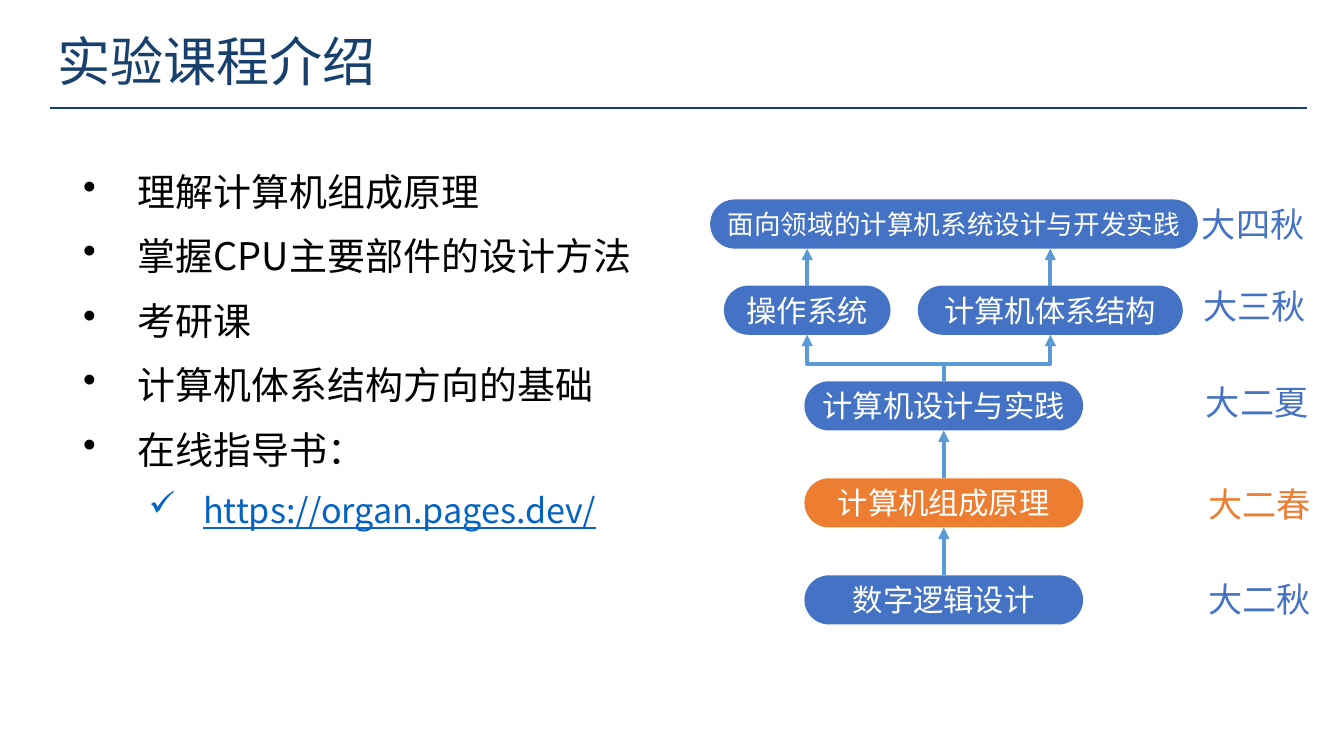
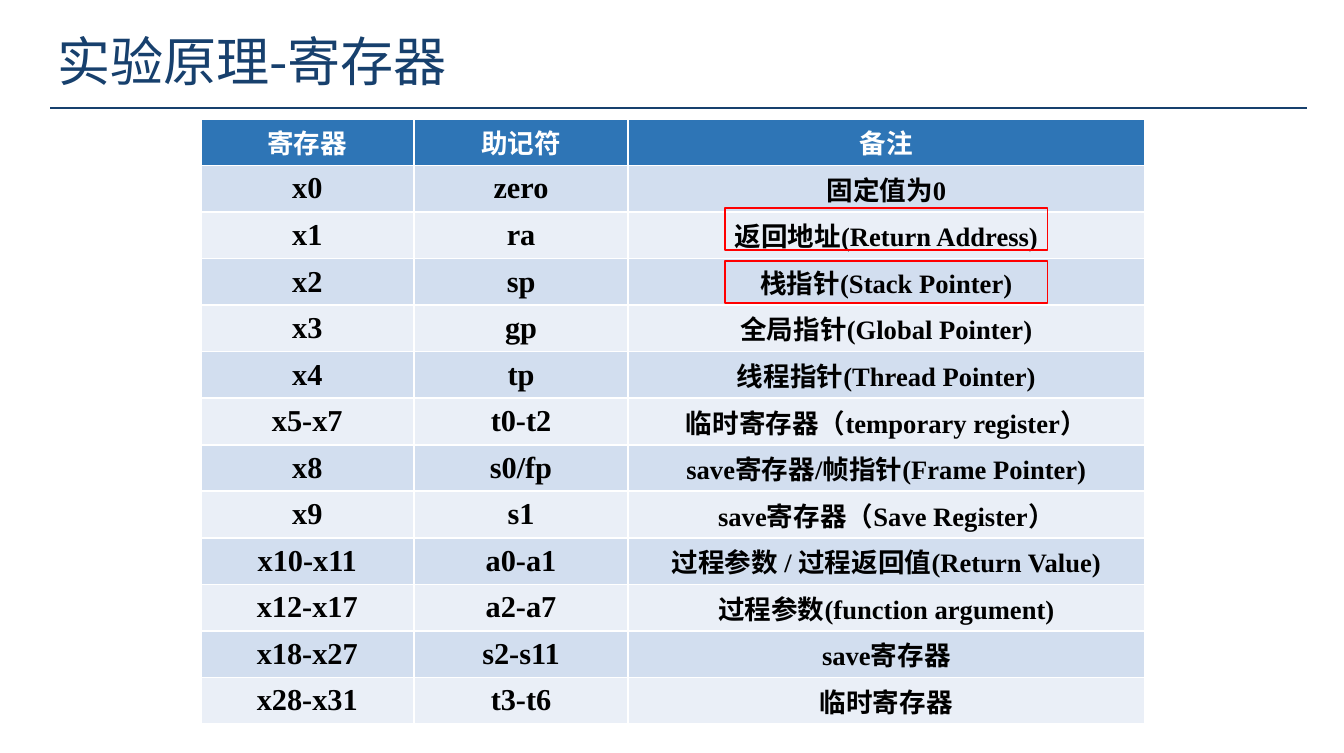
import pptx
import pptx.dml.color
import pptx.enum.shapes
import pptx.enum.text
import pptx.oxml
import pptx.oxml.ns
import pptx.util
import lxml.etree

SHAPES = pptx.enum.shapes.MSO_SHAPE
CONNECTORS = pptx.enum.shapes.MSO_CONNECTOR
ALIGN = pptx.enum.text.PP_ALIGN
ANCHOR = pptx.enum.text.MSO_ANCHOR
qn = pptx.oxml.ns.qn

COLORS = {
    "navy": "17406D",
    "course": "4472C4",
    "current": "ED7D31",
    "arrow": "5B9BD5",
    "link": "0563C1",
    "header": "2E75B6",
    "band_dark": "D2DEEF",
    "band_light": "EAEFF7",
    "mark": "FF0000",
    "black": "000000",
    "white": "FFFFFF",
}
CJK_FONT = "Noto Sans CJK SC"
EMU_PER_PX = 9144


def px(length):
    return pptx.util.Emu(round(length * EMU_PER_PX))


def rgb(name):
    return pptx.dml.color.RGBColor.from_string(COLORS[name])


def assign(target, formats):
    for name, value in formats.items():
        setattr(target, name, value)


class Deck:
    def __init__(self, width, height):
        self.presentation = pptx.Presentation()
        self.presentation.slide_width = px(width)
        self.presentation.slide_height = px(height)
        self.slide = None

    def add_slide(self, title):
        self.slide = self.presentation.slides.add_slide(self.presentation.slide_layouts[6])
        self.line((37, 79), (957, 79), "navy", 1)
        self.textbox((32, 16, 555, 57), title, 28, "navy")

    def add_text(self, paragraph, text, size, color, font=CJK_FONT, formats=None):
        run = paragraph.add_run()
        run.text = text
        assign(run.font, {"size": pptx.util.Pt(size), "name": font, **(formats or {})})
        run.font.color.rgb = rgb(color)
        east_asian = lxml.etree.SubElement(run._r.get_or_add_rPr(), qn("a:ea"))
        east_asian.set("typeface", CJK_FONT)

    def frame(self, box, margins=(10, 5)):
        frame = self.slide.shapes.add_textbox(*map(px, box)).text_frame
        self.set_margins(frame, margins)
        frame.word_wrap = True
        return frame

    def set_margins(self, target, margins):
        side, end = map(px, margins)
        assign(target, {"margin_left": side, "margin_right": side,
                        "margin_top": end, "margin_bottom": end})

    def textbox(self, box, text, size, color, margins=(10, 5), space_before=0):
        paragraph = self.frame(box, margins).paragraphs[0]
        paragraph.space_before = pptx.util.Pt(space_before)
        self.add_text(paragraph, text, size, color)

    def bullets(self, box, items):
        frame = self.frame(box)
        for index, (text, level) in enumerate(items):
            paragraph = frame.add_paragraph() if index else frame.paragraphs[0]
            size, color, indent, symbol = ((20, "black", 40, "•"), (18, "link", 88, "✓"))[level]
            assign(paragraph, {"level": level, "line_spacing": 1.25,
                               "space_before": pptx.util.Pt(size * 0.2)})
            properties = paragraph._p.get_or_add_pPr()
            properties.set("marL", str(px(indent)))
            properties.set("indent", str(px(-40)))
            lxml.etree.SubElement(properties, qn("a:buChar")).set("char", symbol)
            self.add_text(paragraph, text, size, color, formats={"underline": level == 1})

    def pill(self, box, text, color, size=16):
        pill = self.slide.shapes.add_shape(SHAPES.ROUNDED_RECTANGLE, *map(px, box))
        pill.adjustments[0] = 0.5
        pill.shadow.inherit = False
        pill.fill.solid()
        pill.fill.fore_color.rgb = rgb(color)
        pill.line.fill.background()
        self.set_margins(pill.text_frame, (0, 0))
        assign(pill.text_frame, {"word_wrap": True, "vertical_anchor": ANCHOR.MIDDLE})
        paragraph = pill.text_frame.paragraphs[0]
        paragraph.alignment = ALIGN.CENTER
        self.add_text(paragraph, text, size, "white")
        return pill

    def outline(self, box, color):
        outline = self.slide.shapes.add_shape(SHAPES.RECTANGLE, *map(px, box))
        outline.shadow.inherit = False
        outline.fill.background()
        outline.line.color.rgb = rgb(color)
        outline.line.width = pptx.util.Pt(1)

    def line(self, start, end, color, width, arrow=False, kind=CONNECTORS.STRAIGHT):
        line = self.slide.shapes.add_connector(kind, *map(px, (*start, *end)))
        line.line.color.rgb = rgb(color)
        line.line.width = pptx.util.Pt(width)
        if arrow:
            tail = lxml.etree.SubElement(line.line._get_or_add_ln(), qn("a:tailEnd"))
            tail.set("type", "triangle")
        lxml.etree.SubElement(line._element.spPr, qn("a:effectLst"))
        return line

    def arrow(self, start, end, source=None, target=None):
        arrow = self.line(start, end, "arrow", 2, True)
        if source is not None:
            arrow.begin_connect(source, 0)
        if target is not None:
            arrow.end_connect(target, 2)

    def rising_elbow(self, start, end, bend):
        turn = 1 if end[0] > start[0] else -1
        middle_x, middle_y = (start[0] + end[0]) / 2, (start[1] + end[1]) / 2
        reach_x = turn * (start[1] - middle_y)
        reach_y = turn * (middle_x - start[0])
        elbow = self.line((middle_x + reach_x, middle_y + reach_y),
                          (middle_x - reach_x, middle_y - reach_y),
                          "arrow", 2, True, CONNECTORS.ELBOW)
        properties = elbow._element.spPr
        properties.find(qn("a:xfrm")).set("rot", str(turn * 90 % 360 * 60000))
        geometry = properties.find(qn("a:prstGeom"))
        guides = geometry.find(qn("a:avLst"))
        if guides is None:
            guides = lxml.etree.SubElement(geometry, qn("a:avLst"))
        guide = lxml.etree.SubElement(guides, qn("a:gd"))
        guide.set("name", "adj1")
        guide.set("fmla", f"val {round(bend * 100000)}")

    def table(self, left, top, widths, row_height, rows):
        table = self.slide.shapes.add_table(
            len(rows), len(widths), px(left), px(top),
            px(sum(widths)), px(row_height * len(rows))).table
        for column, width in zip(table.columns, widths):
            column.width = px(width)
        for row_index, texts in enumerate(rows):
            table.rows[row_index].height = px(row_height)
            for column_index, text in enumerate(texts):
                cell = table.cell(row_index, column_index)
                if row_index == 0:
                    fill, color, font, size, margins = "header", "white", "Calibri", 14, (6, 3)
                else:
                    fill = "band_dark" if row_index % 2 else "band_light"
                    color, font, margins = "black", "Times New Roman", (7, 0)
                    size = 14 if column_index == 2 else 16
                cell.fill.solid()
                cell.fill.fore_color.rgb = rgb(fill)
                cell.vertical_anchor = ANCHOR.MIDDLE
                self.set_margins(cell, margins)
                paragraph = cell.text_frame.paragraphs[0]
                paragraph.alignment = ALIGN.CENTER
                self.add_text(paragraph, text, size, color, font, {"bold": True})


def add_course_slide(deck):
    deck.add_slide("实验课程介绍")
    deck.bullets((51, 110, 535, 346), [
        ("理解计算机组成原理", 0),
        ("掌握CPU主要部件的设计方法", 0),
        ("考研课", 0),
        ("计算机体系结构方向的基础", 0),
        ("在线指导书：", 0),
        ("https://organ.pages.dev/", 1),
    ])

    height = 36
    architecture = deck.pill((672, 209, 194, height), "计算机体系结构", "course")
    systems = deck.pill((530, 209, 122, height), "操作系统", "course")
    deck.pill((520, 146, 357, height), "面向领域的计算机系统设计与开发实践", "course", 14)
    design, organization, logic = [
        deck.pill((589, top, 204, height), text, color)
        for top, text, color in (
            (279, "计算机设计与实践", "course"),
            (350, "计算机组成原理", "current"),
            (421, "数字逻辑设计", "course"),
        )
    ]

    deck.arrow((691, 421), (691, 386), logic, organization)
    deck.arrow((691, 350), (691, 315), organization, design)
    for center, course in ((591, systems), (769, architecture)):
        deck.rising_elbow((691, 279), (center, 245), 0.37)
        deck.arrow((center, 209), (center, 182), course)

    for left, top, term, color in (
        (880, 149, "大四秋", "course"),
        (881, 209, "大三秋", "course"),
        (883, 279, "大二夏", "course"),
        (885, 354, "大二春", "current"),
        (885, 423, "大二秋", "course"),
    ):
        deck.textbox((left, top, 87, 33), term, 18, color, (0, 0), 3.6)


def add_register_slide(deck):
    deck.add_slide("实验原理-寄存器")
    deck.table(147, 87, (156, 157, 378), 34.08, [
        ("寄存器", "助记符", "备注"),
        ("x0", "zero", "固定值为0"),
        ("x1", "ra", "返回地址(Return Address)"),
        ("x2", "sp", "栈指针(Stack Pointer)"),
        ("x3", "gp", "全局指针(Global Pointer)"),
        ("x4", "tp", "线程指针(Thread Pointer)"),
        ("x5-x7", "t0-t2", "临时寄存器（temporary register）"),
        ("x8", "s0/fp", "save寄存器/帧指针(Frame Pointer)"),
        ("x9", "s1", "save寄存器（Save Register）"),
        ("x10-x11", "a0-a1", "过程参数 / 过程返回值(Return Value)"),
        ("x12-x17", "a2-a7", "过程参数(function argument)"),
        ("x18-x27", "s2-s11", "save寄存器"),
        ("x28-x31", "t3-t6", "临时寄存器"),
    ])
    for top in (152, 191):
        deck.outline((531, top, 236, 31), "mark")


def main():
    deck = Deck(984, 551)
    add_course_slide(deck)
    add_register_slide(deck)
    deck.presentation.save("out.pptx")


if __name__ == "__main__":
    main()
